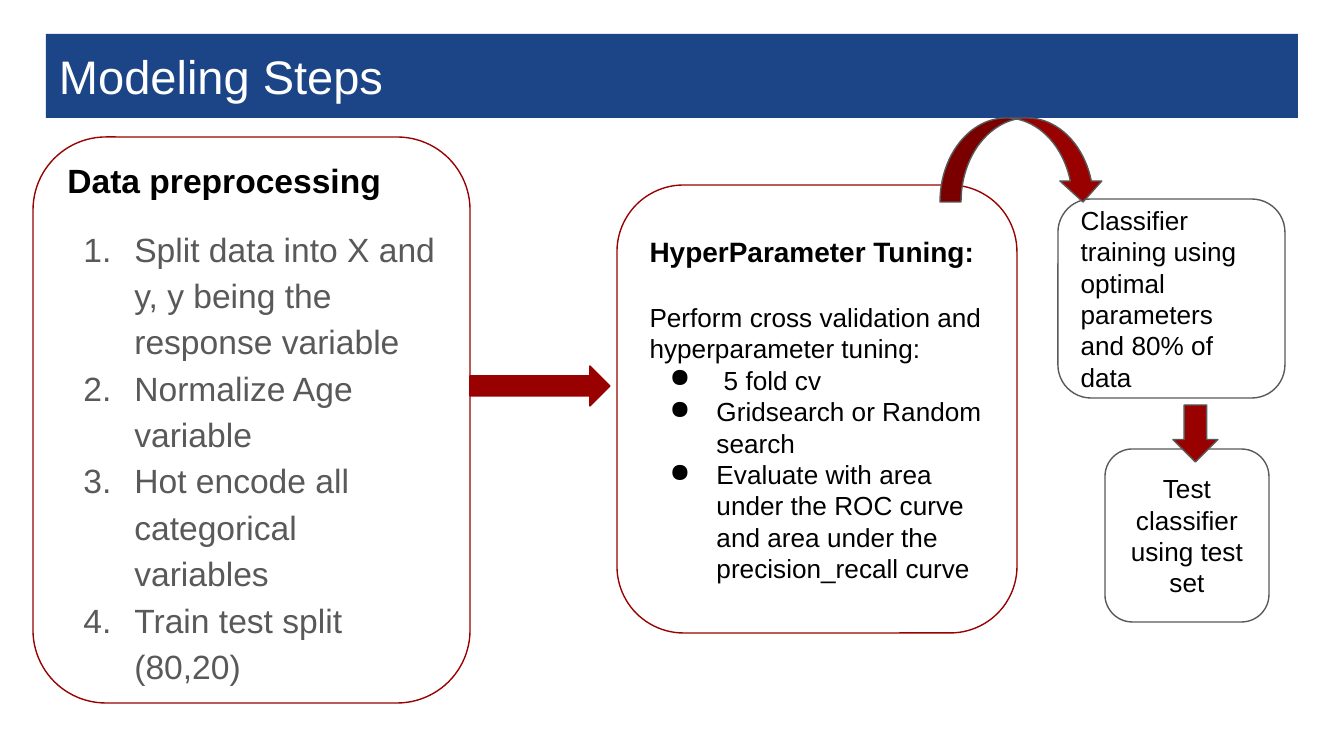
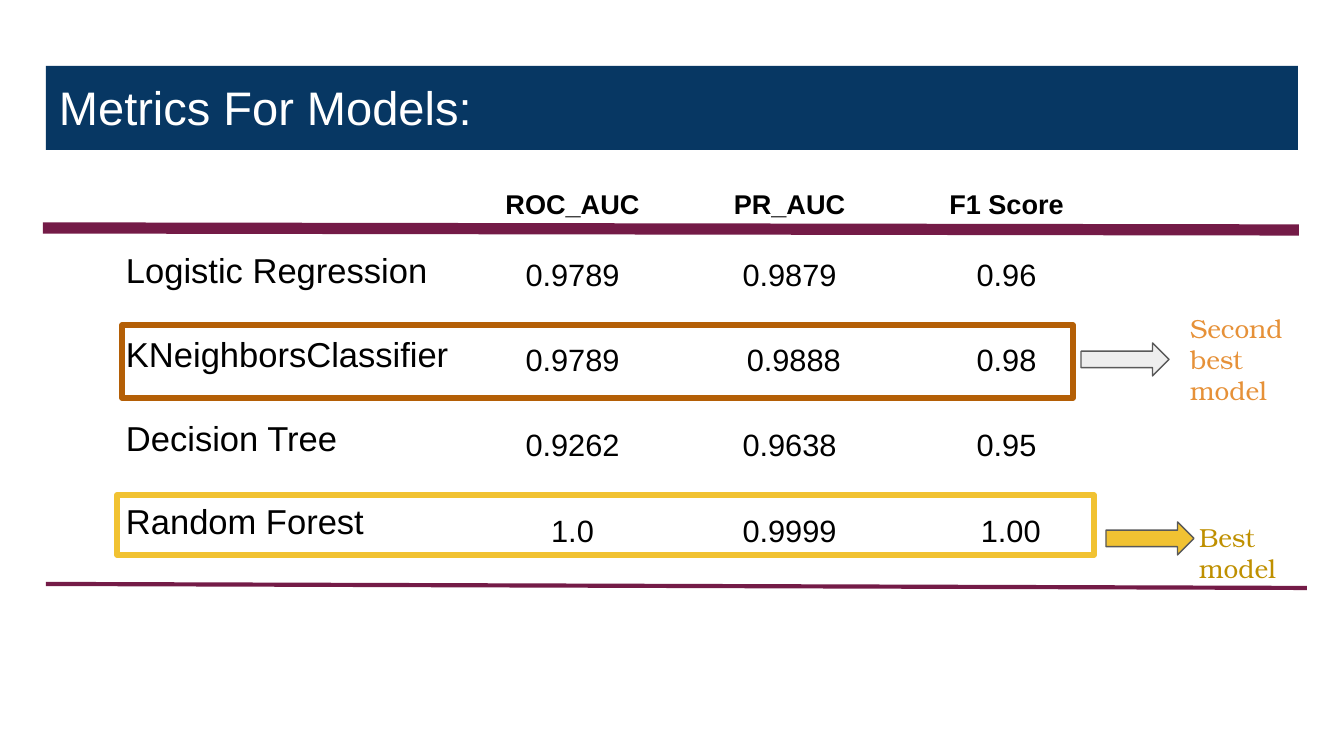
from dataclasses import dataclass

from lxml import etree
from pptx import Presentation
from pptx.dml.color import RGBColor
from pptx.enum.shapes import MSO_CONNECTOR, MSO_SHAPE
from pptx.enum.text import MSO_ANCHOR, PP_ALIGN
from pptx.oxml.ns import qn
from pptx.util import Emu, Pt

RECT = MSO_SHAPE.RECTANGLE
ROUNDED = MSO_SHAPE.ROUNDED_RECTANGLE
RIGHT_ARROW = MSO_SHAPE.RIGHT_ARROW
DOWN_ARROW = MSO_SHAPE.DOWN_ARROW
CURVED_ARROW = MSO_SHAPE.CURVED_DOWN_ARROW
STRAIGHT = MSO_CONNECTOR.STRAIGHT
TOP, MIDDLE = MSO_ANCHOR.TOP, MSO_ANCHOR.MIDDLE
LEFT, CENTER = PP_ALIGN.LEFT, PP_ALIGN.CENTER

PX_PER_INCH = 134.4
SLIDE_WIDTH, SLIDE_HEIGHT = 1344, 756
INSET = 13
LIST_MARGIN = 67


@dataclass(frozen=True)
class Theme:
    font: str = "Arial"
    note_font: str = "TeX Gyre Bonum"
    white: str = "FFFFFF"
    black: str = "000000"
    gray: str = "595959"
    light_gray: str = "EEEEEE"
    blue: str = "1C4587"
    navy: str = "073763"
    red: str = "990000"
    plum: str = "741B47"
    gold: str = "F1C232"
    dark_gold: str = "BF9000"
    bronze: str = "B45F06"
    orange: str = "E69138"
    title_size: float = 25.2
    model_size: float = 18.5
    large_size: float = 18
    value_size: float = 16.5
    heading_size: float = 15
    header_size: float = 14.5
    body_size: float = 14
    thin: float = 0.75
    frame: float = 3


THEME = Theme()

# Steps: box, outline colour, paragraphs as (text, format)
STEP_ITEM = dict(size=THEME.large_size, color=THEME.gray, line_spacing=1.15,
                 bullet="1.", margin=LIST_MARGIN, indent=-51)
TUNING_ITEM = dict(bullet="●", margin=LIST_MARGIN, indent=-47)
STEPS = [
    ((33, 137, 437, 566), THEME.red, [
        ("Data preprocessing", dict(size=THEME.large_size, bold=True, line_spacing=1.15)),
        ("Split data into X and y, y being the response variable",
         dict(STEP_ITEM, space_before=12)),
        ("Normalize Age variable", STEP_ITEM),
        ("Hot encode all categorical variables", STEP_ITEM),
        ("Train test split (80,20)", STEP_ITEM),
    ]),
    ((617, 185, 400, 448), THEME.red, [
        ("HyperParameter Tuning:", dict(size=THEME.heading_size, bold=True)),
        ("Perform cross validation and hyperparameter tuning:", dict(space_before=18)),
        (" 5 fold cv", TUNING_ITEM),
        ("Gridsearch or Random search", TUNING_ITEM),
        ("Evaluate with area under the ROC curve and area under the "
         "precision_recall curve", TUNING_ITEM),
    ]),
    ((1058, 199, 227, 199), THEME.gray, [
        ("Classifier training using optimal parameters and 80% of data", {}),
    ]),
    ((1105, 449, 164, 173), THEME.gray, [
        ("Test classifier using test set", dict(align=CENTER)),
    ]),
]
STEP_ARROWS = [
    (RIGHT_ARROW, (470, 366, 140, 40), THEME.red),
    (CURVED_ARROW, (940, 118, 164, 84), THEME.gray),
    (DOWN_ARROW, (1173, 405, 45, 57), THEME.gray),
]

MODELS = ["Logistic Regression", "KNeighborsClassifier", "Decision Tree", "Random Forest"]
METRICS = [
    ("ROC_AUC", ["0.9789", "0.9789", "0.9262", "1.0"]),
    ("PR_AUC", ["0.9879", " 0.9888", "0.9638", "0.9999"]),
    ("F1 Score", ["0.96", "0.98", "0.95", " 1.00"]),
]
METRICS_LEFT, METRIC_PITCH, METRIC_WIDTH = 464, 217, 217
HEADER_TOP, HEADER_HEIGHT = 168, 60
VALUES_TOP, VALUES_HEIGHT = 227, 344
RULES = [((1299, 230), (43, 228), 6), ((46, 584), (1307, 588), 2.25)]
# Frame, frame colour, arrow, arrow colour, note, note box, note colour
AWARDS = [
    ((117, 495, 977, 60), THEME.gold, (1106, 522, 88, 33), THEME.gold,
     "Best model", (1186, 508, 137, 90), THEME.dark_gold),
    ((122, 325, 951, 73), THEME.bronze, (1081, 343, 88, 33), THEME.light_gray,
     "Second best model", (1177, 299, 137, 122), THEME.orange),
]


def px(length):
    return Emu(round(length * 914400 / PX_PER_INCH))


def rgb(color):
    return RGBColor.from_string(color)


def add_bullet(paragraph, bullet, color):
    """Number the paragraph for "1.", otherwise mark it with the character."""
    properties = paragraph._p.get_or_add_pPr()
    bullet_color = etree.SubElement(properties, qn("a:buClr"))
    etree.SubElement(bullet_color, qn("a:srgbClr"), val=color)
    if bullet == "1.":
        etree.SubElement(properties, qn("a:buAutoNum"), type="arabicPeriod")
    else:
        etree.SubElement(properties, qn("a:buChar"), char=bullet)


def write(paragraph, text, *, size=THEME.body_size, color=THEME.black, font=THEME.font,
          bold=False, align=LEFT, line_spacing=1.0, space_before=0,
          margin=0, indent=0, bullet=None):
    paragraph.alignment = align
    paragraph.line_spacing = line_spacing
    paragraph.space_before = Pt(space_before)
    properties = paragraph._p.get_or_add_pPr()
    properties.set("marL", str(px(margin)))
    properties.set("indent", str(px(indent)))
    if bullet:
        add_bullet(paragraph, bullet, color)
    run = paragraph.add_run()
    run.text = text
    run.font.size = Pt(size)
    run.font.name = font
    run.font.bold = bold
    run.font.color.rgb = rgb(color)


def fill_text(shape, paragraphs, anchor=TOP, top_inset=INSET):
    frame = shape.text_frame
    frame.word_wrap = True
    frame.vertical_anchor = anchor
    frame.margin_left = frame.margin_right = frame.margin_bottom = px(INSET)
    frame.margin_top = px(top_inset)
    for index, (text, text_format) in enumerate(paragraphs):
        paragraph = frame.add_paragraph() if index else frame.paragraphs[0]
        write(paragraph, text, **text_format)


def add_shape(slide, kind, box, fill=None, line=None, width=THEME.thin):
    shape = slide.shapes.add_shape(kind, *map(px, box))
    shape.shadow.inherit = False
    if fill:
        shape.fill.solid()
        shape.fill.fore_color.rgb = rgb(fill)
    else:
        shape.fill.background()
    if line:
        shape.line.color.rgb = rgb(line)
        shape.line.width = Pt(width)
    else:
        shape.line.fill.background()
    return shape


def add_text(slide, box, paragraphs, **frame_format):
    fill_text(slide.shapes.add_textbox(*map(px, box)), paragraphs, **frame_format)


def add_rule(slide, start, end, width):
    rule = slide.shapes.add_connector(STRAIGHT, *map(px, start + end))
    rule.line.color.rgb = rgb(THEME.plum)
    rule.line.width = Pt(width)
    etree.SubElement(rule._element.spPr, qn("a:effectLst"))


def add_titled_slide(presentation, title, top, color):
    slide = presentation.slides.add_slide(presentation.slide_layouts[6])
    band = add_shape(slide, RECT, (46, top, 1252, 84), color)
    fill_text(band, [(title, dict(size=THEME.title_size, color=THEME.white))])
    return slide


def spaced(texts, gap, **text_format):
    """Pair each text with its format, with a gap before all but the first."""
    return [(text, dict(text_format, space_before=gap if index else 0))
            for index, text in enumerate(texts)]


def build_steps(presentation):
    slide = add_titled_slide(presentation, "Modeling Steps", 34, THEME.blue)
    for box, outline, paragraphs in STEPS:
        step = add_shape(slide, ROUNDED, box, THEME.white, outline)
        fill_text(step, paragraphs, anchor=MIDDLE)
    for kind, box, outline in STEP_ARROWS:
        add_shape(slide, kind, box, THEME.red, outline)


def build_metrics(presentation):
    slide = add_titled_slide(presentation, "Metrics For Models:", 66, THEME.navy)
    models = spaced(MODELS, 22.4, size=THEME.model_size, line_spacing=1.01, indent=LIST_MARGIN)
    add_text(slide, (46, 169, 1252, 503), models, top_inset=80)

    for index, (header, values) in enumerate(METRICS):
        left = METRICS_LEFT + index * METRIC_PITCH
        column = add_shape(slide, RECT, (left, VALUES_TOP, METRIC_WIDTH, VALUES_HEIGHT),
                           THEME.white)
        fill_text(column, spaced(values, 23, size=THEME.value_size, align=CENTER,
                                 line_spacing=1.15), anchor=MIDDLE)
        add_text(slide, (left, HEADER_TOP, METRIC_WIDTH, HEADER_HEIGHT),
                 [(header, dict(size=THEME.header_size, bold=True, align=CENTER,
                                line_spacing=1.21))])

    for rule in RULES:
        add_rule(slide, *rule)
    for frame, frame_color, arrow, arrow_color, note, note_box, note_color in AWARDS:
        add_shape(slide, RECT, frame, line=frame_color, width=THEME.frame)
        add_shape(slide, RIGHT_ARROW, arrow, arrow_color, THEME.gray)
        add_text(slide, note_box, [(note, dict(color=note_color, font=THEME.note_font))])


def main():
    presentation = Presentation()
    presentation.slide_width = px(SLIDE_WIDTH)
    presentation.slide_height = px(SLIDE_HEIGHT)
    build_steps(presentation)
    build_metrics(presentation)
    presentation.save("out.pptx")


if __name__ == "__main__":
    main()
